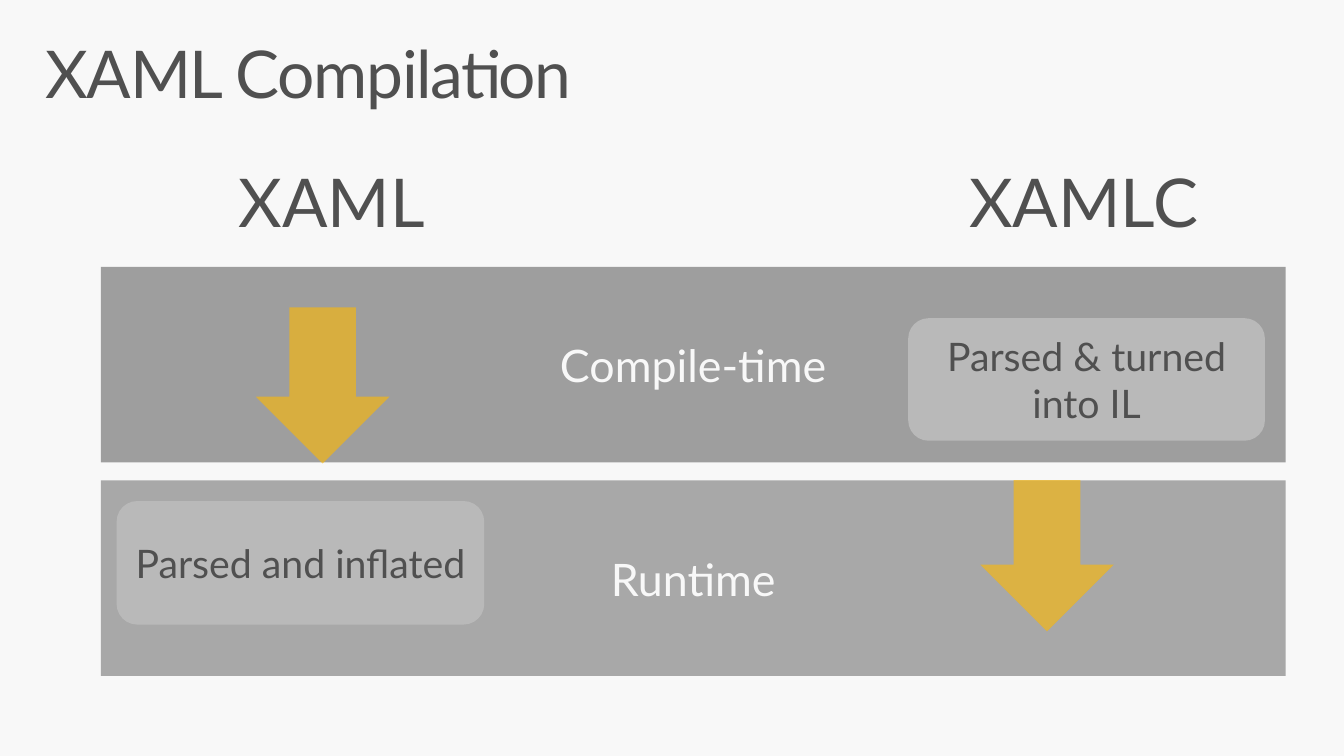
from dataclasses import dataclass

from lxml import etree
from pptx import Presentation
from pptx.dml.color import RGBColor
from pptx.enum.shapes import MSO_SHAPE
from pptx.enum.text import MSO_ANCHOR, PP_ALIGN
from pptx.oxml.ns import qn
from pptx.shapes.autoshape import Shape
from pptx.slide import Slide
from pptx.text.text import TextFrame
from pptx.util import Inches, Pt

RECTANGLE = MSO_SHAPE.RECTANGLE
ROUNDED = MSO_SHAPE.ROUNDED_RECTANGLE
DOWN_ARROW = MSO_SHAPE.DOWN_ARROW
TOP, MIDDLE = MSO_ANCHOR.TOP, MSO_ANCHOR.MIDDLE
LEFT, CENTER = PP_ALIGN.LEFT, PP_ALIGN.CENTER


@dataclass(frozen=True)
class Theme:
    font: str = "Lato"
    background: str = "F8F8F8"
    dark: str = "505050"
    light: str = "F8F8F8"
    compile_band: str = "9E9E9E"
    runtime_band: str = "A8A8A8"
    step: str = "B9B9B9"
    arrow: str = "FFB900"
    arrow_opacity: int = 60
    title_size: float = 48
    heading_size: float = 49
    band_size: float = 32.6
    step_size: float = 28.6


@dataclass(frozen=True)
class Box:
    left: float
    top: float
    width: float
    height: float


@dataclass(frozen=True)
class Heading:
    text: str
    box: Box


@dataclass(frozen=True)
class Panel:
    text: str
    box: Box
    kind: MSO_SHAPE
    fill: str
    color: str
    size: float


THEME = Theme()
BAND_LEFT, BAND_WIDTH, BAND_HEIGHT = 1.02, 11.99, 1.98
COMPILE_TOP, RUNTIME_TOP = 2.7, 4.86

TITLE = Heading("XAML Compilation", Box(0.3, 0.32, 13, 1))
HEADINGS = [
    Heading("XAML", Box(2.01, 1.51, 2.69, 1.1)),
    Heading("XAMLC", Box(9.35, 1.51, 3.23, 1.1)),
]


def band(text: str, top: float, fill: str) -> Panel:
    box = Box(BAND_LEFT, top, BAND_WIDTH, BAND_HEIGHT)
    return Panel(text, box, RECTANGLE, fill, THEME.light, THEME.band_size)


def step(text: str, box: Box) -> Panel:
    return Panel(text, box, ROUNDED, THEME.step, THEME.dark, THEME.step_size)


PANELS = [
    band("Runtime", RUNTIME_TOP, THEME.runtime_band),
    band("Compile-time", COMPILE_TOP, THEME.compile_band),
    step("Parsed and inflated", Box(1.18, 5.07, 3.72, 1.25)),
    step("Parsed & turned into IL", Box(9.19, 3.22, 3.61, 1.24)),
]
ARROWS = [Box(9.92, RUNTIME_TOP, 1.35, 1.53), Box(2.59, 3.11, 1.35, 1.58)]


def write_text(frame: TextFrame, text: str, size: float, color: str,
               alignment: PP_ALIGN, anchor: MSO_ANCHOR,
               side_margin: float, end_margin: float,
               line_spacing: float = 1.0, tracking: float = 0) -> None:
    frame.word_wrap = True
    frame.vertical_anchor = anchor
    frame.margin_left = frame.margin_right = Inches(side_margin)
    frame.margin_top = frame.margin_bottom = Inches(end_margin)
    paragraph = frame.paragraphs[0]
    paragraph.alignment = alignment
    paragraph.line_spacing = line_spacing
    run = paragraph.add_run()
    run.text = text
    run.font.name = THEME.font
    run.font.size = Pt(size)
    run.font.color.rgb = RGBColor.from_string(color)
    if tracking:
        run.font._element.set("spc", str(round(tracking * 100)))


def add_filled_shape(slide: Slide, kind: MSO_SHAPE, box: Box, fill: str) -> Shape:
    shape = slide.shapes.add_shape(kind, Inches(box.left), Inches(box.top),
                                   Inches(box.width), Inches(box.height))
    shape.shadow.inherit = False
    shape.fill.solid()
    shape.fill.fore_color.rgb = RGBColor.from_string(fill)
    shape.line.fill.background()
    return shape


def set_title(slide: Slide, heading: Heading) -> None:
    title, box = slide.shapes.title, heading.box
    title.left, title.top = Inches(box.left), Inches(box.top)
    title.width, title.height = Inches(box.width), Inches(box.height)
    write_text(title.text_frame, heading.text, THEME.title_size, THEME.dark,
               LEFT, TOP, 0.16, 0.1, line_spacing=0.9, tracking=-1)


def add_heading(slide: Slide, heading: Heading) -> None:
    box = heading.box
    text_box = slide.shapes.add_textbox(Inches(box.left), Inches(box.top),
                                        Inches(box.width), Inches(box.height))
    write_text(text_box.text_frame, heading.text, THEME.heading_size, THEME.dark,
               CENTER, TOP, 0.32, 0.2, line_spacing=0.9)


def add_panel(slide: Slide, panel: Panel) -> None:
    shape = add_filled_shape(slide, panel.kind, panel.box, panel.fill)
    write_text(shape.text_frame, panel.text, panel.size, panel.color,
               CENTER, MIDDLE, 0, 0.1)


def add_arrow(slide: Slide, box: Box) -> None:
    arrow = add_filled_shape(slide, DOWN_ARROW, box, THEME.arrow)
    color = arrow._element.spPr.find(qn("a:solidFill")).find(qn("a:srgbClr"))
    etree.SubElement(color, qn("a:alpha"), val=str(THEME.arrow_opacity * 1000))


def main() -> None:
    presentation = Presentation()
    presentation.slide_width = Inches(13.6)
    presentation.slide_height = Inches(7.65)
    slide = presentation.slides.add_slide(presentation.slide_layouts.get_by_name("Title Only"))
    slide.background.fill.solid()
    slide.background.fill.fore_color.rgb = RGBColor.from_string(THEME.background)

    # Title and column headings
    set_title(slide, TITLE)
    for heading in HEADINGS:
        add_heading(slide, heading)

    # Phase bands with their steps
    for panel in PANELS:
        add_panel(slide, panel)

    # Translucent arrows through the phases
    for box in ARROWS:
        add_arrow(slide, box)

    presentation.save("out.pptx")


if __name__ == "__main__":
    main()
